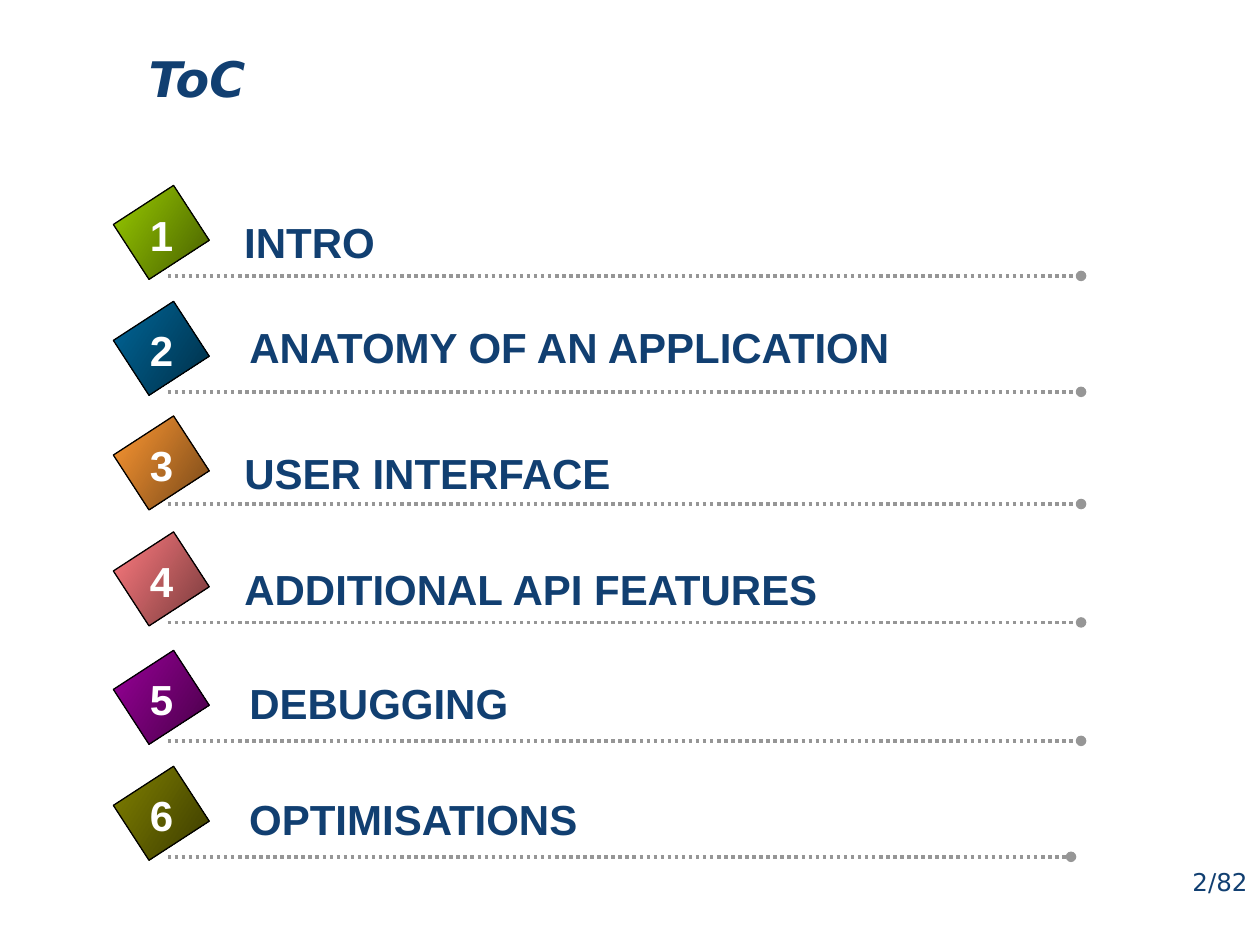
from lxml import etree
from pptx import Presentation
from pptx.dml.color import RGBColor
from pptx.enum import dml, shapes, text
from pptx.oxml.ns import qn
from pptx.util import Inches, Pt

NAVY, GREY, WHITE, BLACK = "113F71", "969696", "FFFFFF", "000000"

# Entry, label left/top/width, tile top, rule y, rule end, tile gradient
ENTRIES = [
    ("INTRO", 1.84, 1.67, 1.26, 1.56, 2.19, 8.58, ("99CC00", "475E00")),
    ("ANATOMY OF AN APPLICATION", 1.88, 2.5, 5.39, 2.48, 3.11, 8.58, ("006699", "002F47")),
    ("USER INTERFACE", 1.84, 3.5, 3.15, 3.39, 4.0, 8.58, ("FF9933", "764718")),
    ("ADDITIONAL API FEATURES", 1.84, 4.42, 4.82, 4.31, 4.94, 8.58, ("FF7C80", "76393B")),
    ("DEBUGGING", 1.88, 5.33, 2.28, 5.25, 5.88, 8.58, ("990099", "470047")),
    ("OPTIMISATIONS", 1.88, 6.25, 2.86, 6.17, 6.8, 8.5, ("808000", "3B3B00")),
]


def rgb(value):
    return RGBColor.from_string(value)


def write(frame, words, size, font, color, align=text.PP_ALIGN.LEFT, bold=True, italic=False):
    frame.text = words
    paragraph = frame.paragraphs[0]
    paragraph.alignment = align
    style = paragraph.runs[0].font
    style.name, style.size = font, Pt(size)
    style.bold, style.italic = bold, italic
    style.color.rgb = rgb(color)


def add_label(slide, words, left, top, width, color, align=text.PP_ALIGN.LEFT):
    frame = slide.shapes.add_textbox(
        Inches(left), Inches(top), Inches(width), Inches(0.5)).text_frame
    frame.word_wrap = False
    frame.auto_size = text.MSO_AUTO_SIZE.SHAPE_TO_FIT_TEXT
    write(frame, words, 24, "Arial", color, align)


def add_rule(slide, y, end):
    rule = slide.shapes.add_connector(
        shapes.MSO_CONNECTOR.STRAIGHT, Inches(1.33), Inches(y), Inches(end), Inches(y))
    rule.line.color.rgb = rgb(GREY)
    rule.line.width = Pt(2)
    rule.line.dash_style = dml.MSO_LINE.ROUND_DOT
    outline = rule._element.spPr.find(qn("a:ln"))
    etree.SubElement(outline, qn("a:tailEnd"), type="oval")
    etree.SubElement(rule._element.spPr, qn("a:effectLst"))


def add_tile(slide, top, colors):
    tile = slide.shapes.add_shape(
        shapes.MSO_SHAPE.RECTANGLE, Inches(1.02), Inches(top), Inches(0.52), Inches(0.57))
    tile.rotation = 57
    tile.shadow.inherit = False
    tile.fill.gradient()
    tile.fill.gradient_angle = 360 - 33  # counter-clockwise
    for stop, color, position in zip(tile.fill.gradient_stops, colors, (0, 1)):
        stop.color.rgb = rgb(color)
        stop.position = position
    # Keep the light direction fixed while the tile turns
    tile._element.spPr.find(qn("a:gradFill")).set("rotWithShape", "0")
    tile.line.color.rgb = rgb(BLACK)
    tile.line.width = Pt(0.75)


def main():
    deck = Presentation()
    deck.slide_width, deck.slide_height = Inches(10), Inches(7.5)
    slide = deck.slides.add_slide(deck.slide_layouts[5])

    # Title
    title = slide.shapes.title
    title.left, title.top = Inches(1.08), Inches(0.33)
    title.width, title.height = Inches(7.33), Inches(0.58)
    title.text_frame.vertical_anchor = text.MSO_ANCHOR.MIDDLE
    write(title.text_frame, "ToC", 28, "DejaVu Sans", NAVY, italic=True)

    # Numbered entries
    for number, entry in enumerate(ENTRIES, 1):
        words, left, top, width, tile_top, rule_y, rule_end, colors = entry
        add_rule(slide, rule_y, rule_end)
        add_tile(slide, tile_top, colors)
        add_label(slide, words, left, top, width, NAVY)
        add_label(slide, str(number), 1.09, tile_top + 0.05, 0.38, WHITE, text.PP_ALIGN.CENTER)

    # Page number
    page = slide.shapes.add_textbox(Inches(8), Inches(6.83), Inches(2), Inches(0.37)).text_frame
    page.word_wrap = True
    write(page, "2/82", 14, "DejaVu Sans", NAVY, text.PP_ALIGN.RIGHT, bold=False)

    deck.save("out.pptx")


if __name__ == "__main__":
    main()
